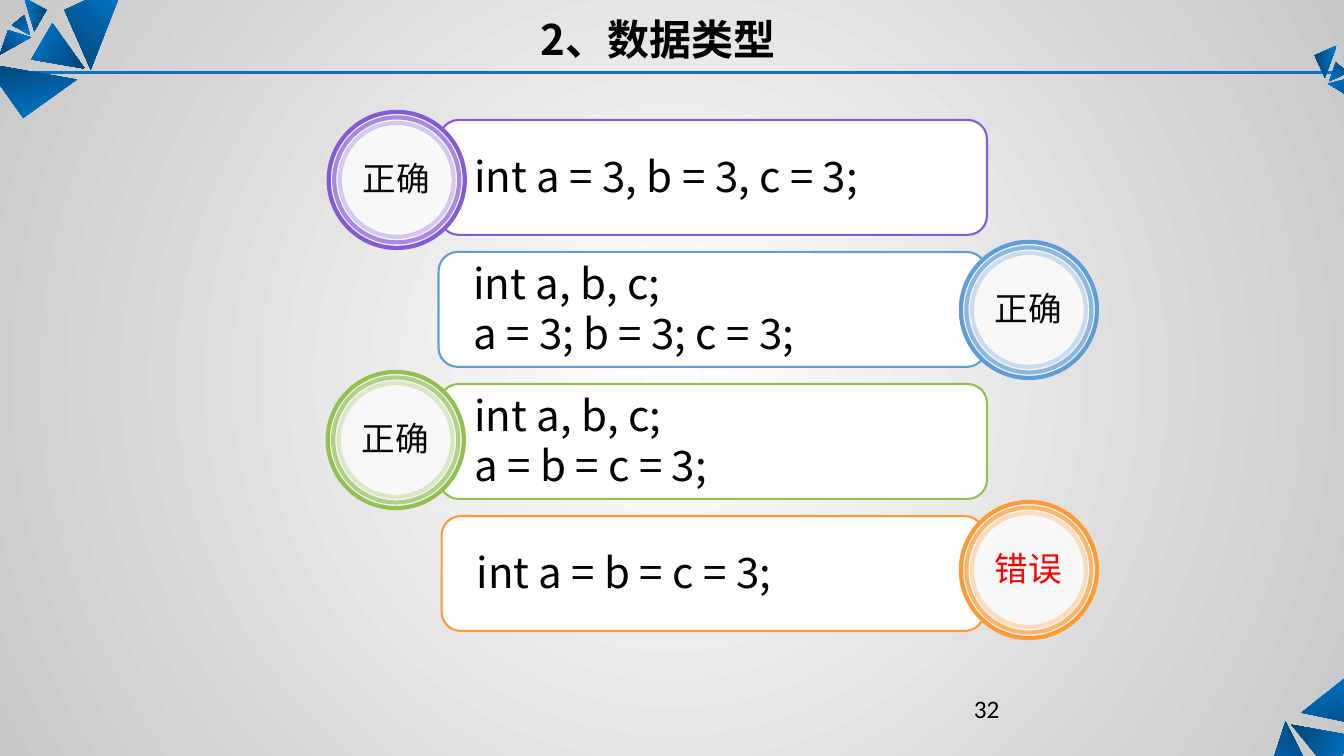
from lxml import etree
from pptx import Presentation
from pptx.dml.color import RGBColor
from pptx.enum.shapes import MSO_CONNECTOR, MSO_SHAPE
from pptx.enum.text import MSO_ANCHOR, PP_ALIGN
from pptx.oxml.ns import qn
from pptx.util import Inches, Pt

STRAIGHT = MSO_CONNECTOR.STRAIGHT
ROUNDED, OVAL = MSO_SHAPE.ROUNDED_RECTANGLE, MSO_SHAPE.OVAL
TOP, MIDDLE = MSO_ANCHOR.TOP, MSO_ANCHOR.MIDDLE
LEFT, CENTER = PP_ALIGN.LEFT, PP_ALIGN.CENTER

COLORS = {
    "white": "FFFFFF", "gray": "C8C8C8", "black": "000000", "label": "080808",
    "red": "FF0000", "badge": "F8F8F8", "rule": "0F6FC6",
    "shard_light": "007BD3", "shard_dark": "034373",
    "purple": "855ADA", "blue": "5E9CDA", "green": "93C052", "orange": "FF9933",
}
CODE_FONT = "Noto Sans CJK SC"
LABEL_FONT = "Arial"
NUMBER_FONT = "Calibri"

# Corner decoration: turn of the gradient in degrees, then the corner points
SHARDS = [
    (224.2, [(12.44, 8.11), (12.75, 7.16), (13.09, 7.83)]),
    (119.1, [(13.42, 7.3), (12.81, 7.19), (13.21, 7.68)]),
    (343.5, [(13.45, 6.64), (12.91, 7.07), (13.88, 7.27)]),
    (45.5, [(1.24, -0.18), (0.9, 0.69), (0.64, 0.1)]),
    (300.5, [(0.31, 0.59), (0.84, 0.68), (0.52, 0.23)]),
    (164.9, [(0.23, 1.17), (0.76, 0.79), (-0.15, 0.63)]),
    (38, [(0, 0.54), (0.31, 0.37), (0.08, 0.3)]),
    (143.1, [(0.24, 0.15), (0.3, 0.35), (0.12, 0.25)]),
    (278.7, [(0.46, 0.1), (0.34, 0.31), (0.24, -0.02)]),
    (325, [(13.47, 1.01), (13.17, 0.83), (13.41, 0.77)]),
    (219.9, [(13.25, 0.62), (13.18, 0.81), (13.37, 0.72)]),
    (84.3, [(13.04, 0.55), (13.14, 0.77), (13.26, 0.45)]),
]

# Card left and width, badge left, colour, code lines, verdict, verdict colour
EXAMPLES = [
    (4.36, 5.43, 3.26, "purple", ["int a = 3, b = 3, c = 3;"], "正确", "label"),
    (4.35, 5.43, 9.53, "blue", ["int a, b, c;", "a = 3; b = 3; c = 3;"], "正确", "label"),
    (4.36, 5.43, 3.25, "green", ["int a, b, c;", "a = b = c = 3;"], "正确", "label"),
    (4.38, 5.38, 9.53, "orange", ["int a = b = c = 3;"], "错误", "red"),
]
CARD_TOP, CARD_STEP, CARD_HEIGHT = 1.19, 1.31, 1.14
BADGE_TOP, BADGE_STEP = 1.11, 1.29
RINGS = [(1.35, 100), (1.24, 70), (1.13, 30)]  # diameter, opacity in percent


def color(name):
    return RGBColor.from_string(COLORS[name])


class SlideBuilder:
    def __init__(self, slide):
        self.slide = slide

    def gradient(self, fill, first, last):
        fill.gradient()
        for stop, name in zip(fill.gradient_stops, (first, last)):
            stop.color.rgb = color(name)

    def background(self):
        self.gradient(self.slide.background.fill, "white", "gray")
        gradient = self.slide.element.find(".//" + qn("a:gradFill"))
        gradient.remove(gradient.find(qn("a:lin")))
        circle = etree.SubElement(gradient, qn("a:path"), {"path": "circle"})
        etree.SubElement(circle, qn("a:fillToRect"), l="50000", t="50000", r="50000", b="50000")

    def rule(self, left, right, top):
        line = self.slide.shapes.add_connector(
            STRAIGHT, Inches(left), Inches(top), Inches(right), Inches(top))
        line.line.color.rgb = color("rule")
        line.line.width = Pt(2.25)
        etree.SubElement(line._element.spPr, qn("a:effectLst"))

    def shard(self, turn, points):
        corners = [(Inches(x), Inches(y)) for x, y in points]
        builder = self.slide.shapes.build_freeform(*corners[0])
        builder.add_line_segments(corners[1:], close=True)
        shape = builder.convert_to_shape()
        shape.shadow.inherit = False
        self.gradient(shape.fill, "shard_light", "shard_dark")
        shape.fill.gradient_angle = (270 - turn) % 360
        shape.line.fill.background()

    def outlined(self, kind, left, top, width, height, fill, line, points):
        shape = self.slide.shapes.add_shape(
            kind, Inches(left), Inches(top), Inches(width), Inches(height))
        shape.shadow.inherit = False
        if fill:
            shape.fill.solid()
            shape.fill.fore_color.rgb = color(fill)
        else:
            shape.fill.background()
        shape.line.color.rgb = color(line)
        shape.line.width = Pt(points)
        return shape

    def add_lines(self, frame, lines, size, font, name, align=LEFT, bold=False, spacing=None):
        frame.word_wrap = True
        for index, text in enumerate(lines):
            paragraph = frame.add_paragraph() if index else frame.paragraphs[0]
            paragraph.alignment = align
            if spacing:
                paragraph.line_spacing = Pt(spacing)
            run = paragraph.add_run()
            run.text = text
            run.font.size = Pt(size)
            run.font.bold = bold
            run.font.name = font
            run.font.color.rgb = color(name)
            etree.SubElement(run.font._element, qn("a:ea"), typeface=CODE_FONT)

    def text(self, left, top, width, height, text, *style, **options):
        box = self.slide.shapes.add_textbox(
            Inches(left), Inches(top), Inches(width), Inches(height))
        box.text_frame.vertical_anchor = TOP
        self.add_lines(box.text_frame, [text], *style, **options)

    def card(self, left, top, width, line, code):
        shape = self.outlined(ROUNDED, left, top, width, CARD_HEIGHT, "white", line, 1.5)
        shape.adjustments[0] = 0.167
        frame = shape.text_frame
        frame.vertical_anchor = MIDDLE
        frame.margin_left, frame.margin_right = Inches(0.29), Inches(0.1)
        frame.margin_top, frame.margin_bottom = 0, Inches(0.03)
        self.add_lines(frame, code, 30, CODE_FONT, "black", spacing=36)

    def badge(self, left, top, line, verdict, verdict_color):
        outer = RINGS[0][0]
        for size, opacity in RINGS:
            inset = (outer - size) / 2
            fill = "badge" if size == outer else None
            ring = self.outlined(OVAL, left + inset, top + inset, size, size, fill, line, 3)
            if opacity < 100:
                stroke = ring.line._ln.find(".//" + qn("a:srgbClr"))
                etree.SubElement(stroke, qn("a:alpha"), val=str(opacity * 1000))
        self.text(left + 0.08, top + 0.41, 1.18, 0.5, verdict, 24, LABEL_FONT,
                  verdict_color, align=CENTER)


def main():
    presentation = Presentation()
    presentation.slide_width, presentation.slide_height = Inches(13.33), Inches(7.5)
    builder = SlideBuilder(presentation.slides.add_slide(presentation.slide_layouts[6]))

    # Backdrop and corner decoration
    builder.background()
    builder.rule(0.03, 13.38, 0.72)
    for turn, points in SHARDS:
        builder.shard(turn, points)

    # Slide number and title
    builder.text(9.56, 6.83, 2.78, 0.5, "32", 18, NUMBER_FONT, "black")
    builder.text(0.8, 0.09, 11.45, 0.6, "2、数据类型", 30, CODE_FONT, "black",
                 align=CENTER, bold=True, spacing=36)

    # Code cards, then the verdict badges over them
    for row, (left, width, _, line, code, _, _) in enumerate(EXAMPLES):
        builder.card(left, CARD_TOP + row * CARD_STEP, width, line, code)
    for row, (_, _, left, line, _, verdict, verdict_color) in enumerate(EXAMPLES):
        builder.badge(left, BADGE_TOP + row * BADGE_STEP, line, verdict, verdict_color)

    presentation.save("out.pptx")


if __name__ == "__main__":
    main()
